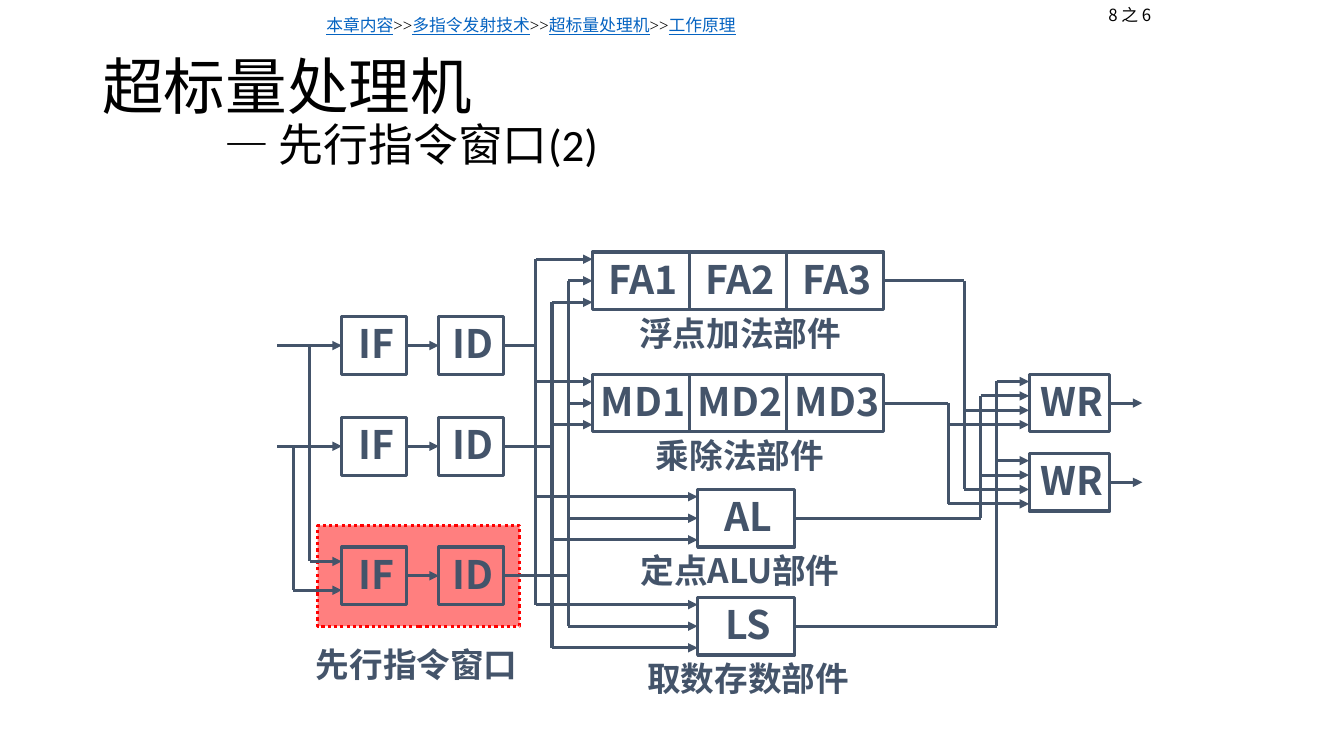
import pptx
import pptx.dml.color
import pptx.enum.dml
import pptx.enum.shapes
import pptx.enum.text
import pptx.oxml
import pptx.oxml.ns
import pptx.util

Pt = pptx.util.Pt
ALIGN = pptx.enum.text.PP_ALIGN
ANCHOR = pptx.enum.text.MSO_ANCHOR
CJK_FONT = "Noto Sans CJK SC"
INK, BLACK, LINK, RED = "44546A", "000000", "0563C1", "FF0000"


def color(hex_string):
    return pptx.dml.color.RGBColor.from_string(hex_string)


def element(tag, **attributes):
    node = pptx.oxml.parse_xml(f"<a:{tag} {pptx.oxml.ns.nsdecls('a')}/>")
    for name, value in attributes.items():
        node.set(name, value)
    return node


class PipelineSlide:
    """Draws on one slide; grid columns and rows start at the diagram's corner."""

    left, top, column, row = 198, 180, 11.55, 5.14
    line_width = 2.25
    frame_format = {"margin_left": Pt(5.76), "margin_top": Pt(2.88),
                    "margin_right": Pt(2.88), "margin_bottom": 0,
                    "vertical_anchor": ANCHOR.MIDDLE, "word_wrap": False}

    def __init__(self, presentation):
        self.slide = presentation.slides.add_slide(presentation.slide_layouts[6])

    def x(self, column):
        return Pt(self.left + column * self.column)

    def y(self, row):
        return Pt(self.top + row * self.row)

    def area(self, column, row, columns, rows):
        return (self.x(column), self.y(row),
                Pt(columns * self.column), Pt(rows * self.row))

    def add_text(self, paragraph, text, size, font=CJK_FONT, ink=INK, **extra):
        run = paragraph.add_run()
        run.text = text
        formats = {"size": Pt(size), "name": font, **extra}
        for name, value in formats.items():
            setattr(run.font, name, value)
        run.font.color.rgb = color(ink)
        latin = run.font._element.find(pptx.oxml.ns.qn("a:latin"))
        latin.addnext(element("ea", typeface=CJK_FONT))

    def caption(self, shape, text, size):
        for name, value in self.frame_format.items():
            setattr(shape.text_frame, name, value)
        paragraph = shape.text_frame.paragraphs[0]
        paragraph.alignment = ALIGN.CENTER
        paragraph.line_spacing = 0.8
        self.add_text(paragraph, text, size, bold=True)

    def rectangle(self, column, row, columns, rows, ink=INK):
        shape = self.slide.shapes.add_shape(
            pptx.enum.shapes.MSO_SHAPE.RECTANGLE, *self.area(column, row, columns, rows))
        shape.shadow.inherit = False
        shape.fill.background()
        shape.line.color.rgb = color(ink)
        shape.line.width = Pt(self.line_width)
        return shape

    def stage(self, text, column, row, columns):
        self.caption(self.rectangle(column, row, columns, 8), text, 28)

    def label(self, text, column, row, columns, rows):
        box = self.slide.shapes.add_textbox(*self.area(column, row, columns, rows))
        self.caption(box, text, 24)

    def highlight(self, column, row, columns, rows):
        shape = self.rectangle(column, row, columns, rows, RED)
        shape.line.dash_style = pptx.enum.dml.MSO_LINE.ROUND_DOT
        shape.fill.solid()
        shape.fill.fore_color.rgb = color(RED)
        fill = shape._element.spPr.find(pptx.oxml.ns.qn("a:solidFill"))
        fill[0].append(element("alpha", val="50000"))

    def wire(self, column, row, end_column, end_row, arrow=False):
        line = self.slide.shapes.add_connector(
            pptx.enum.shapes.MSO_CONNECTOR.STRAIGHT,
            self.x(column), self.y(row), self.x(end_column), self.y(end_row))
        line.line.color.rgb = color(INK)
        line.line.width = Pt(self.line_width)
        if arrow:
            line.line._get_or_add_ln().append(element("tailEnd", type="triangle"))
        line._element.spPr.append(element("effectLst"))

    def arrow(self, column, end_column, row):
        self.wire(column, row, end_column, row, arrow=True)

    def text_box(self, left, top, width, height, anchor=ANCHOR.TOP):
        frame = self.slide.shapes.add_textbox(
            Pt(left), Pt(top), Pt(width), Pt(height)).text_frame
        frame.word_wrap = True
        frame.vertical_anchor = anchor
        return frame


def main():
    presentation = pptx.Presentation()
    presentation.slide_width, presentation.slide_height = Pt(960), Pt(540)
    page = PipelineSlide(presentation)

    # Look-ahead window, behind the pipeline
    page.highlight(2.5, 38, 12.5, 14)
    page.label("先行指令窗口", 1, 52.5, 15, 10)

    # Title, breadcrumb and page number
    title = page.text_box(66, 28.8, 828, 104.4, ANCHOR.MIDDLE)
    heading, subheading = title.paragraphs[0], title.add_paragraph()
    for paragraph, text, size in ((heading, "超标量处理机", 44),
                                  (subheading, "— 先行指令窗口(2)", 32)):
        paragraph.line_spacing = 0.9
        page.add_text(paragraph, text, size, "Calibri", BLACK)
    subheading._p.get_or_add_pPr().set("marL", str(Pt(87)))

    trail = page.text_box(226, 7.2, 596, 21.6).paragraphs[0]
    for index, topic in enumerate(("本章内容", "多指令发射技术", "超标量处理机", "工作原理")):
        if index:
            page.add_text(trail, ">>", 12, "Times New Roman", BLACK)
        page.add_text(trail, topic, 12, "Times New Roman", LINK, underline=True)

    number = page.text_box(774, 0, 66, 21.6).paragraphs[0]
    number.alignment = ALIGN.CENTER
    page.add_text(number, "8 之 6", 12, ink=BLACK)

    # Functional units: stages, label, first column, label column, row
    units = ((("FA1", "FA2", "FA3"), "浮点加法部件", 19.5, 19.5, 0),
             (("MD1", "MD2", "MD3"), "乘除法部件", 19.5, 19.5, 17),
             (("AL",), "定点ALU部件", 26, 19.5, 33),
             (("LS",), "取数存数部件", 26, 20, 48))
    for stages, name, column, label_column, row in units:
        for index, stage in enumerate(stages):
            page.stage(stage, column + 6 * index, row, 6)
        page.label(name, label_column, row + 8, 18, 7)

    # Fetch and decode: row, bus column, input offset on every unit
    for row, bus, port in ((9, 16, 1), (23, 17, 7), (41, 18, 4)):
        page.stage("IF", 4, row, 4)
        page.stage("ID", 10, row, 4)
        page.arrow(8, 10, row + 4)
        page.wire(14, row + 4, bus, row + 4)
        page.wire(bus, units[0][-1] + port, bus, units[-1][-1] + port)
        for unit in units:
            page.arrow(bus, unit[2], unit[-1] + port)

    # Instruction streams and their branches into the window
    for row, branch, window_row in ((13, 2, 43), (27, 1, 47)):
        page.arrow(0, 4, row)
        page.wire(branch, row, branch, window_row)
        page.arrow(branch, 4, window_row)

    # Write-back stages and result buses
    result_rows = (17, 28)
    for row in result_rows:
        page.stage("WR", 46.5, row, 5)
        page.arrow(51.5, 53.5, row + 4)
    for unit, bus, port in zip(units, (42.5, 41.5, 43.5, 44.5), (5, 7, 3, 1)):
        stages, output = unit[0], unit[-1] + 4
        inputs = [row + port for row in result_rows]
        page.wire(unit[2] + 6 * len(stages), output, bus, output)
        page.wire(bus, min(output, *inputs), bus, max(output, *inputs))
        for row in inputs:
            page.arrow(bus, 46.5, row)

    presentation.save("out.pptx")


if __name__ == "__main__":
    main()
